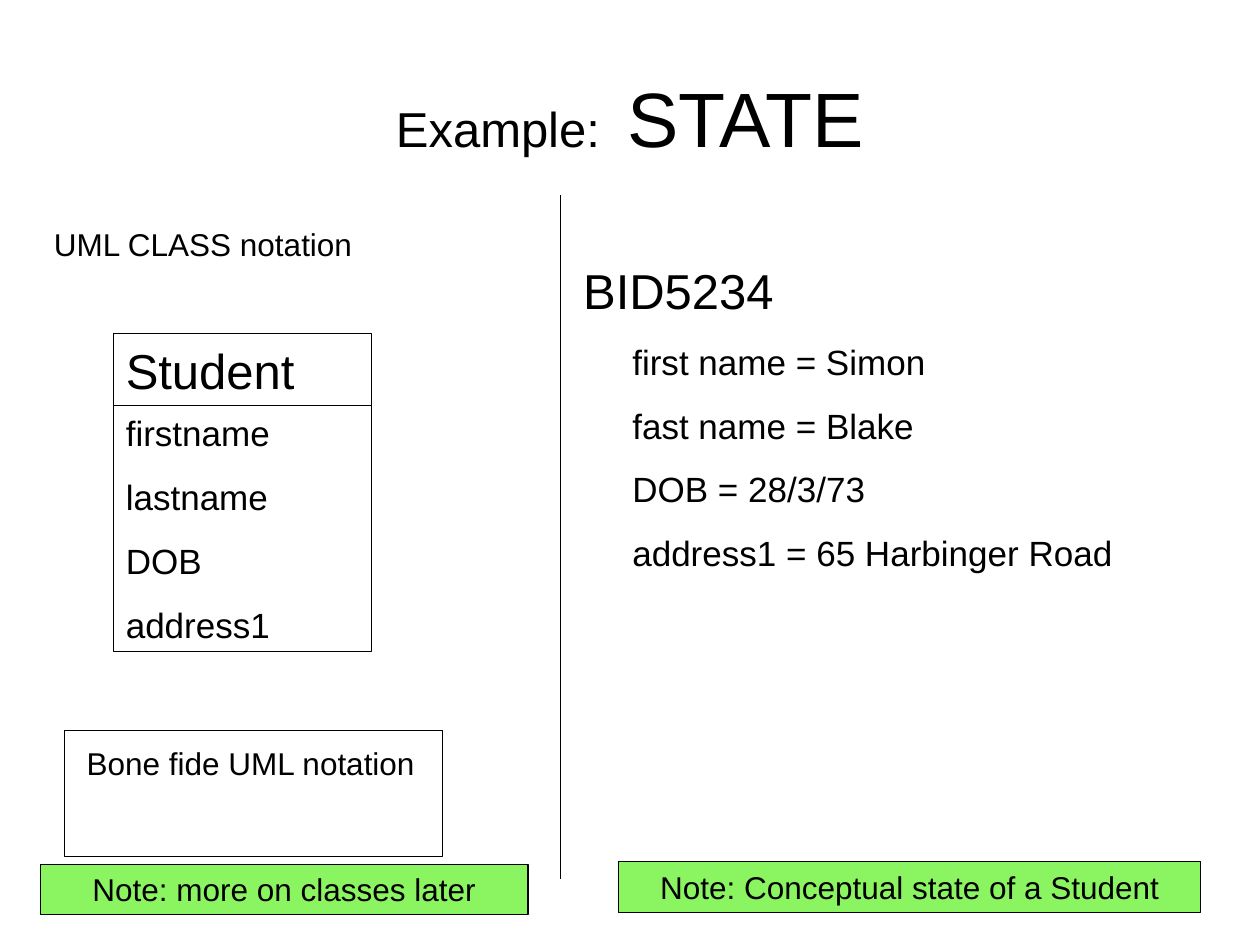
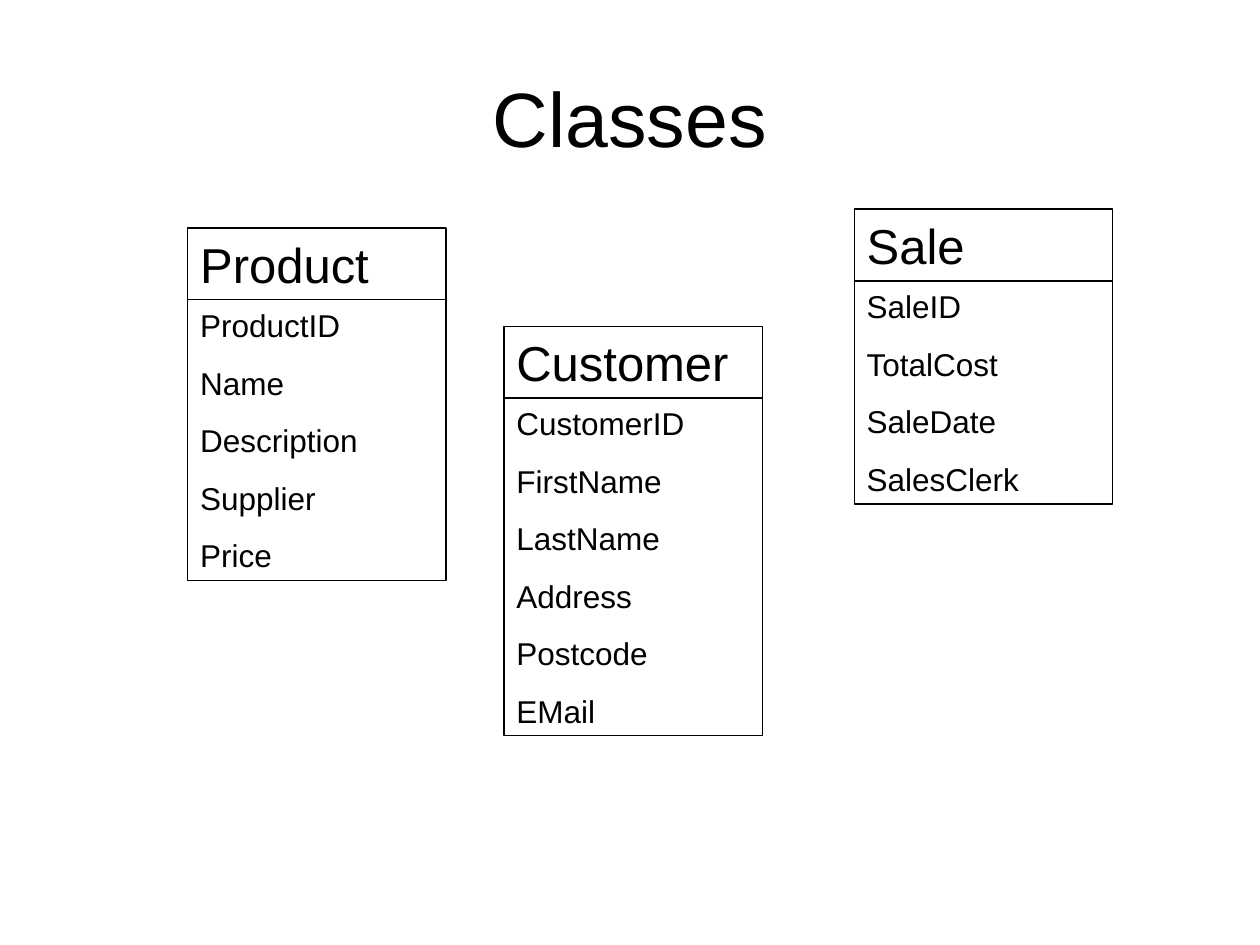
from dataclasses import dataclass

from lxml import etree
from pptx import Presentation
from pptx.dml.color import RGBColor
from pptx.enum.shapes import MSO_CONNECTOR, MSO_SHAPE
from pptx.enum.text import MSO_ANCHOR, MSO_AUTO_SIZE, PP_ALIGN
from pptx.oxml.ns import qn
from pptx.util import Inches, Pt

RECTANGLE = MSO_SHAPE.RECTANGLE
STRAIGHT = MSO_CONNECTOR.STRAIGHT
TOP, MIDDLE = MSO_ANCHOR.TOP, MSO_ANCHOR.MIDDLE
LEFT, CENTER = PP_ALIGN.LEFT, PP_ALIGN.CENTER
FIT_TEXT, NO_FIT = MSO_AUTO_SIZE.SHAPE_TO_FIT_TEXT, MSO_AUTO_SIZE.NONE
TITLE_ONLY = 5


@dataclass(frozen=True)
class Theme:
    font: str = "Arial"
    ink: RGBColor = RGBColor(0, 0, 0)
    paper: RGBColor = RGBColor(255, 255, 255)
    note: RGBColor = RGBColor(0x8B, 0xF5, 0x61)
    title: int = 44
    heading: int = 28
    item: int = 20
    small: int = 18
    line: float = 0.75
    leading: float = 1.2
    space_before: float = 0.625


THEME = Theme()
CLASS_WIDTH = 2.05
HEADER_HEIGHT = 0.57


def format_span(span, size):
    span.font.name = THEME.font
    span.font.size = Pt(size)
    span.font.color.rgb = THEME.ink


def text_height(count, size):
    lines = count * THEME.leading + (count - 1) * THEME.space_before
    return round(0.1 + lines * size / 72, 2)


def write_lines(shape, lines, size, align=LEFT):
    frame = shape.text_frame
    frame.text = "\n".join(lines)
    frame.word_wrap = True
    frame.auto_size = FIT_TEXT
    frame.vertical_anchor = TOP
    for para in frame.paragraphs:
        para.alignment = align
        para.space_before = Pt(size * THEME.space_before)
        para.line_spacing = Pt(size * THEME.leading)
        for span in para.runs:
            format_span(span, size)


def outline(shape, fill):
    shape.shadow.inherit = False
    shape.fill.solid()
    shape.fill.fore_color.rgb = fill
    shape.line.color.rgb = THEME.ink
    shape.line.width = Pt(THEME.line)


def add_text(page, left, top, width, lines, size):
    height = text_height(len(lines), size)
    box = page.shapes.add_textbox(*map(Inches, (left, top, width, height)))
    write_lines(box, lines, size)


def add_panel(page, left, top, width, lines, size, fill=THEME.paper, align=LEFT):
    height = text_height(len(lines), size)
    box = page.shapes.add_shape(RECTANGLE, *map(Inches, (left, top, width, height)))
    outline(box, fill)
    write_lines(box, lines, size, align)


def add_class(page, left, top, name, attributes, size):
    add_panel(page, left, top, CLASS_WIDTH, [name], THEME.heading)
    add_panel(page, left, top + HEADER_HEIGHT, CLASS_WIDTH, attributes, size)


def add_folded_note(page, left, top, width, height, text):
    fold_left, fold_depth = width - 0.39, 0.13
    builder = page.shapes.build_freeform(0, 0, scale=Inches(1))
    builder.add_line_segments([
        (0, height), (width, height), (width, fold_depth), (fold_left, 0),
        (fold_left, fold_depth), (width, fold_depth), (fold_left, 0),
    ])
    note = builder.convert_to_shape(Inches(left), Inches(top))
    outline(note, THEME.paper)
    add_text(page, left + 0.08, top + 0.06, width - 0.31, [text], THEME.small)


def add_divider(page, left, top, bottom):
    ends = map(Inches, (left, top, left, bottom))
    divider = page.shapes.add_connector(STRAIGHT, *ends)
    divider.line.color.rgb = THEME.ink
    divider.line.width = Pt(THEME.line)
    etree.SubElement(divider.element.spPr, qn("a:effectLst"))


def add_page(deck, title_spans):
    page = deck.slides.add_slide(deck.slide_layouts[TITLE_ONLY])
    title = page.shapes.title
    title.left, title.top = Inches(0.5), Inches(0.3)
    title.width, title.height = Inches(9), Inches(1.25)
    frame = title.text_frame
    frame.vertical_anchor = MIDDLE
    frame.auto_size = NO_FIT
    para = frame.paragraphs[0]
    para.alignment = CENTER
    for text, size in title_spans:
        span = para.add_run()
        span.text = text
        format_span(span, size)
    return page


def add_notation_side(page, left):
    add_text(page, left, 1.74, 2.67, ["UML CLASS notation"], THEME.small)
    add_class(page, left + 0.57, 2.65, "Student",
              ["firstname", "lastname", "DOB", "address1"], THEME.item)
    add_folded_note(page, left + 0.18, 5.8, 3.15, 0.55, "Bone fide UML notation")
    add_panel(page, left - 0.01, 6.86, 3.87, ["Note: more on classes later"],
              THEME.small, THEME.note, CENTER)


def add_state_side(page, left):
    add_text(page, left, 2.02, 2.05, ["BID5234"], THEME.heading)
    state = ["first name = Simon", "fast name = Blake", "DOB = 28/3/73",
             "address1 = 65 Harbinger Road"]
    add_text(page, left + 0.39, 2.65, 4.49, state, THEME.item)
    add_panel(page, left + 0.38, 6.84, 4.62, ["Note: Conceptual state of a Student"],
              THEME.small, THEME.note, CENTER)


def build_state_page(deck):
    page = add_page(deck, [("Example:  ", THEME.heading), ("STATE", THEME.title)])
    add_notation_side(page, 0.33)
    add_divider(page, 4.45, 1.55, 6.98)
    add_state_side(page, 4.53)


def build_classes_page(deck):
    page = add_page(deck, [("Classes", THEME.title)])
    classes = [
        (1.49, 1.81, "Product",
         ["ProductID", "Name", "Description", "Supplier", "Price"]),
        (4, 2.59, "Customer",
         ["CustomerID", "FirstName", "LastName", "Address", "Postcode", "EMail"]),
        (6.78, 1.66, "Sale",
         ["SaleID", "TotalCost", "SaleDate", "SalesClerk"]),
    ]
    for left, top, name, attributes in classes:
        add_class(page, left, top, name, attributes, THEME.small)


def main():
    deck = Presentation()
    deck.slide_width, deck.slide_height = Inches(10), Inches(7.5)
    build_state_page(deck)
    build_classes_page(deck)
    deck.save("out.pptx")


if __name__ == "__main__":
    main()
